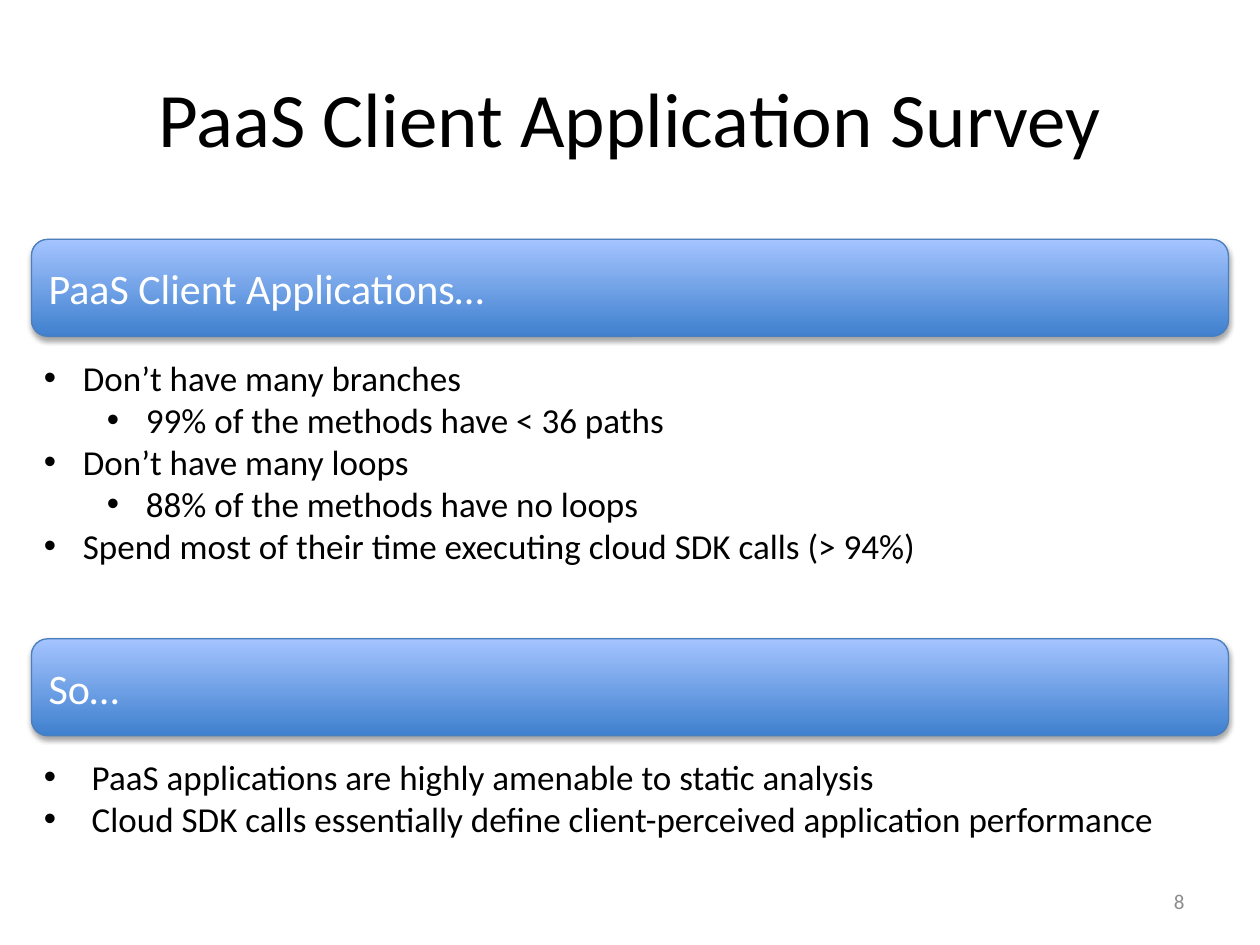
from lxml.etree import SubElement
from pptx import Presentation
from pptx.dml.color import RGBColor
from pptx.enum.shapes import MSO_SHAPE
from pptx.enum.text import MSO_ANCHOR, PP_ALIGN
from pptx.oxml.ns import qn
from pptx.util import Inches, Pt

WIDTH, HEIGHT = 10, 7.5
TITLE = "PaaS Client Application Survey"
PAGE_NUMBER = "8"
SECTIONS = [
    {"heading": "PaaS Client Applications…", "top": 1.9, "body_height": 1.78, "hang": 0.31,
     "bullets": [
         (0, "Don’t have many branches"),
         (1, "99% of the methods have < 36 paths"),
         (0, "Don’t have many loops"),
         (1, "88% of the methods have no loops"),
         (0, "Spend most of their time executing cloud SDK calls (> 94%)"),
     ]},
    {"heading": "So…", "top": 5.07, "body_height": 0.77, "hang": 0.38,
     "bullets": [
         (0, "PaaS applications are highly amenable to static analysis"),
         (0, "Cloud SDK calls essentially define client-perceived application performance"),
     ]},
]
MARGIN = 0.25
CONTENT_WIDTH = WIDTH - 2 * MARGIN
BANNER_HEIGHT = 0.77
BODY_OFFSET = 0.88
LEVEL_INDENT = 0.5
GRADIENT = ["3F80CE", "A4C4FF"]


def color(value):
    return RGBColor.from_string(value)


def style(paragraph, text, size, hex_color, alignment=PP_ALIGN.LEFT):
    paragraph.text = text
    paragraph.alignment = alignment
    paragraph.font.name = "Calibri"
    paragraph.font.size = Pt(size)
    paragraph.font.color.rgb = color(hex_color)


def add_text_box(slide, box, anchor=MSO_ANCHOR.TOP):
    frame = slide.shapes.add_textbox(*map(Inches, box)).text_frame
    frame.word_wrap = True
    frame.vertical_anchor = anchor
    return frame


def add_shadow(shape):
    shape.shadow.inherit = False
    effects = shape.element.spPr.find(qn("a:effectLst"))
    shadow = SubElement(effects, qn("a:outerShdw"), blurRad=str(Pt(3.1)), dist=str(Pt(1.8)),
                        dir="5400000", rotWithShape="0")
    shade = SubElement(shadow, qn("a:srgbClr"), val="000000")
    SubElement(shade, qn("a:alpha"), val="35000")


def add_banner(slide, heading, top):
    box = (MARGIN, top, CONTENT_WIDTH, BANNER_HEIGHT)
    banner = slide.shapes.add_shape(MSO_SHAPE.ROUNDED_RECTANGLE, *map(Inches, box))
    banner.fill.gradient()
    banner.fill.gradient_angle = 90
    for position, (stop, hex_color) in enumerate(zip(banner.fill.gradient_stops, GRADIENT)):
        stop.position = position
        stop.color.rgb = color(hex_color)
    banner.line.color.rgb = color("4B7EBC")
    banner.line.width = Pt(0.75)
    add_shadow(banner)
    banner.text_frame.vertical_anchor = MSO_ANCHOR.MIDDLE
    style(banner.text_frame.paragraphs[0], heading, 24, "FFFFFF")


def add_bullets(slide, bullets, top, height, hang):
    frame = add_text_box(slide, (MARGIN, top, CONTENT_WIDTH, height))
    for index, (level, text) in enumerate(bullets):
        paragraph = frame.add_paragraph() if index else frame.paragraphs[0]
        style(paragraph, text, 20, "000000")
        paragraph.level = level
        properties = paragraph._p.get_or_add_pPr()
        properties.set("marL", str(Inches(hang + level * LEVEL_INDENT)))
        properties.set("indent", str(-Inches(hang)))
        bullet_font = SubElement(properties, qn("a:buFont"), typeface="Arial")
        bullet = SubElement(properties, qn("a:buChar"), char="•")
        properties.insert(0, bullet)
        properties.insert(0, bullet_font)


def main():
    presentation = Presentation()
    presentation.slide_width, presentation.slide_height = Inches(WIDTH), Inches(HEIGHT)
    slide = presentation.slides.add_slide(presentation.slide_layouts[6])

    title = add_text_box(slide, (0.5, 0.3, 9, 1.25), MSO_ANCHOR.MIDDLE)
    style(title.paragraphs[0], TITLE, 44, "000000", PP_ALIGN.CENTER)
    for section in SECTIONS:
        add_banner(slide, section["heading"], section["top"])
        add_bullets(slide, section["bullets"], section["top"] + BODY_OFFSET,
                    section["body_height"], section["hang"])
    number = add_text_box(slide, (7.17, 6.95, 2.33, 0.4), MSO_ANCHOR.MIDDLE)
    style(number.paragraphs[0], PAGE_NUMBER, 12, "8C8C8C", PP_ALIGN.RIGHT)

    presentation.save("out.pptx")


if __name__ == "__main__":
    main()
